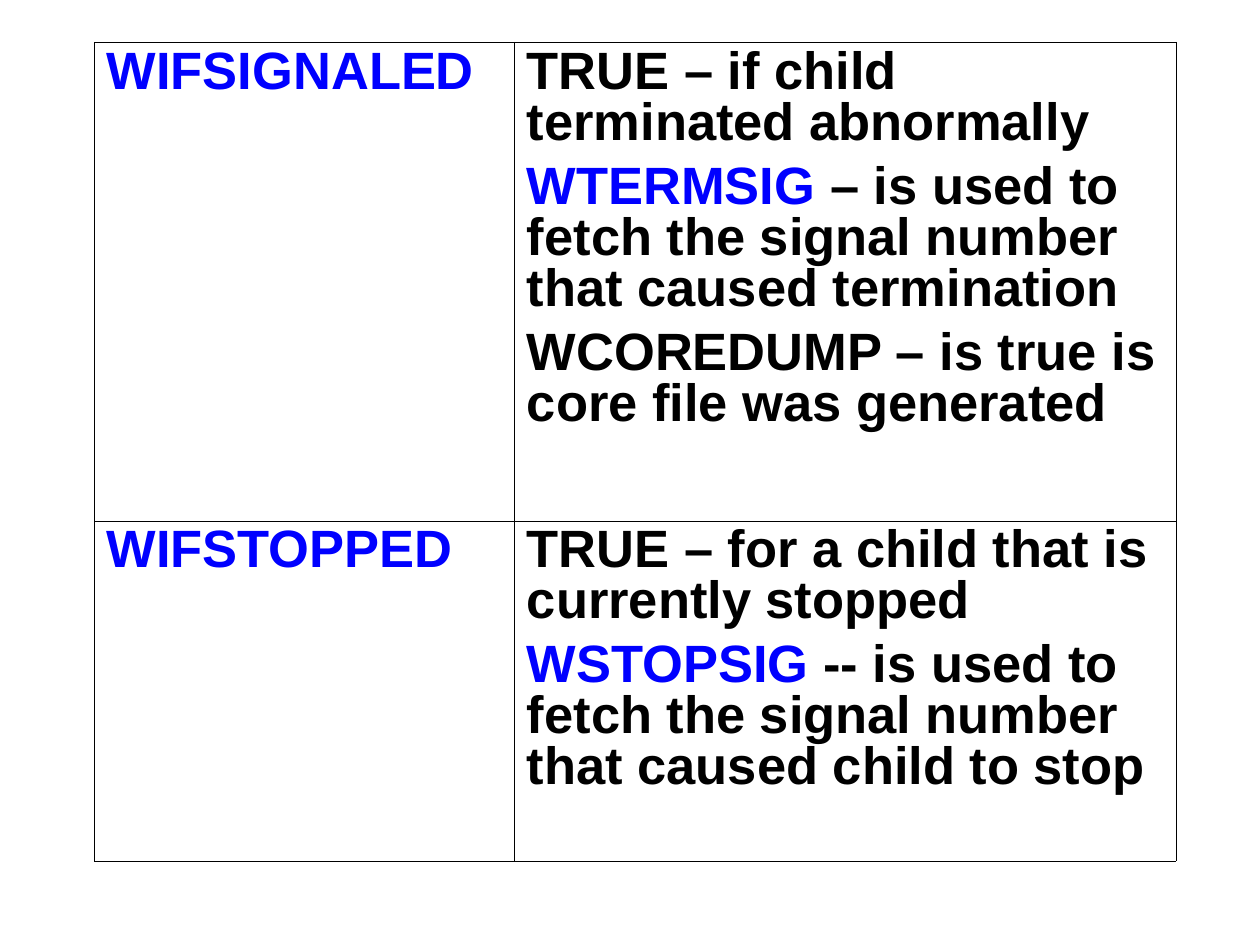
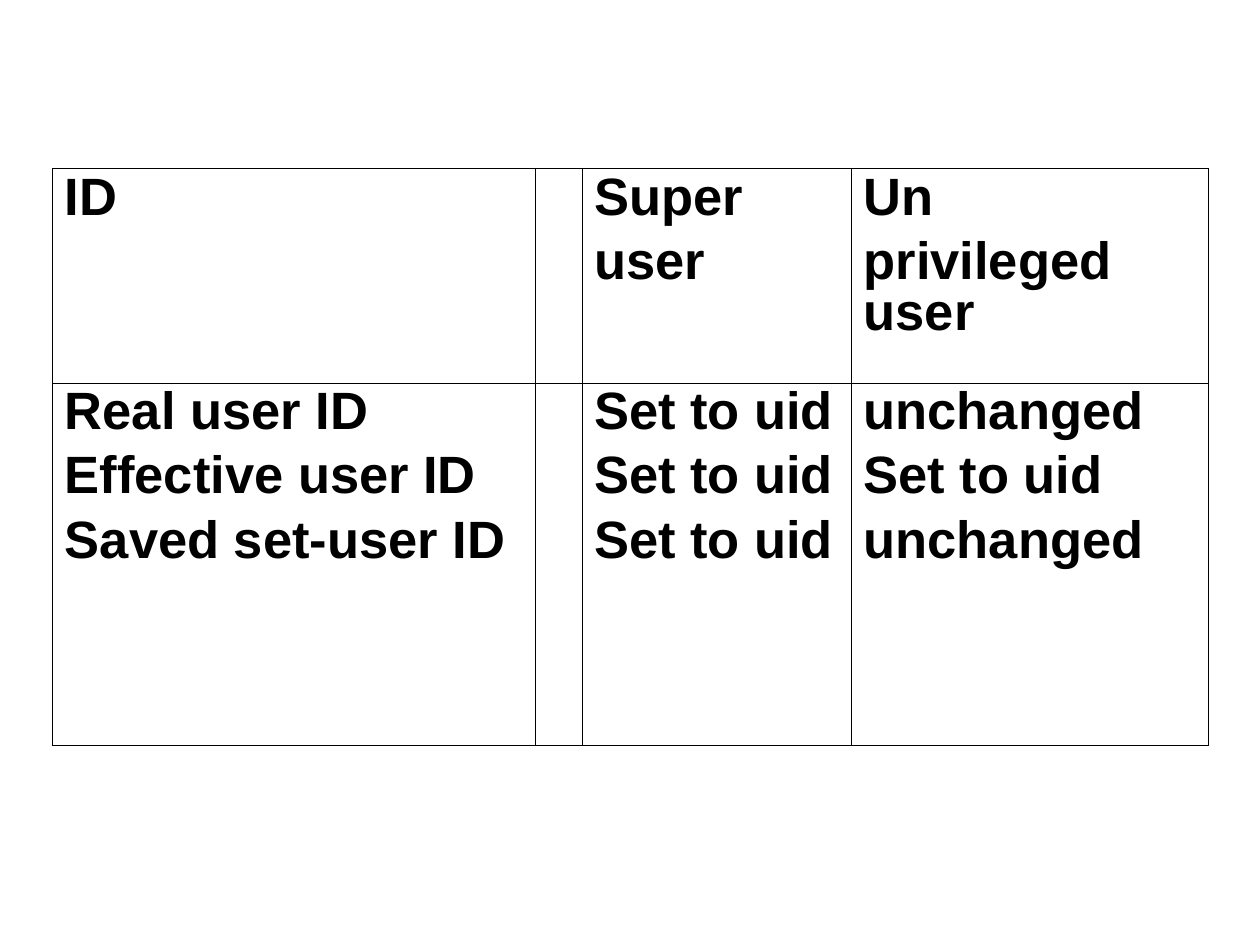
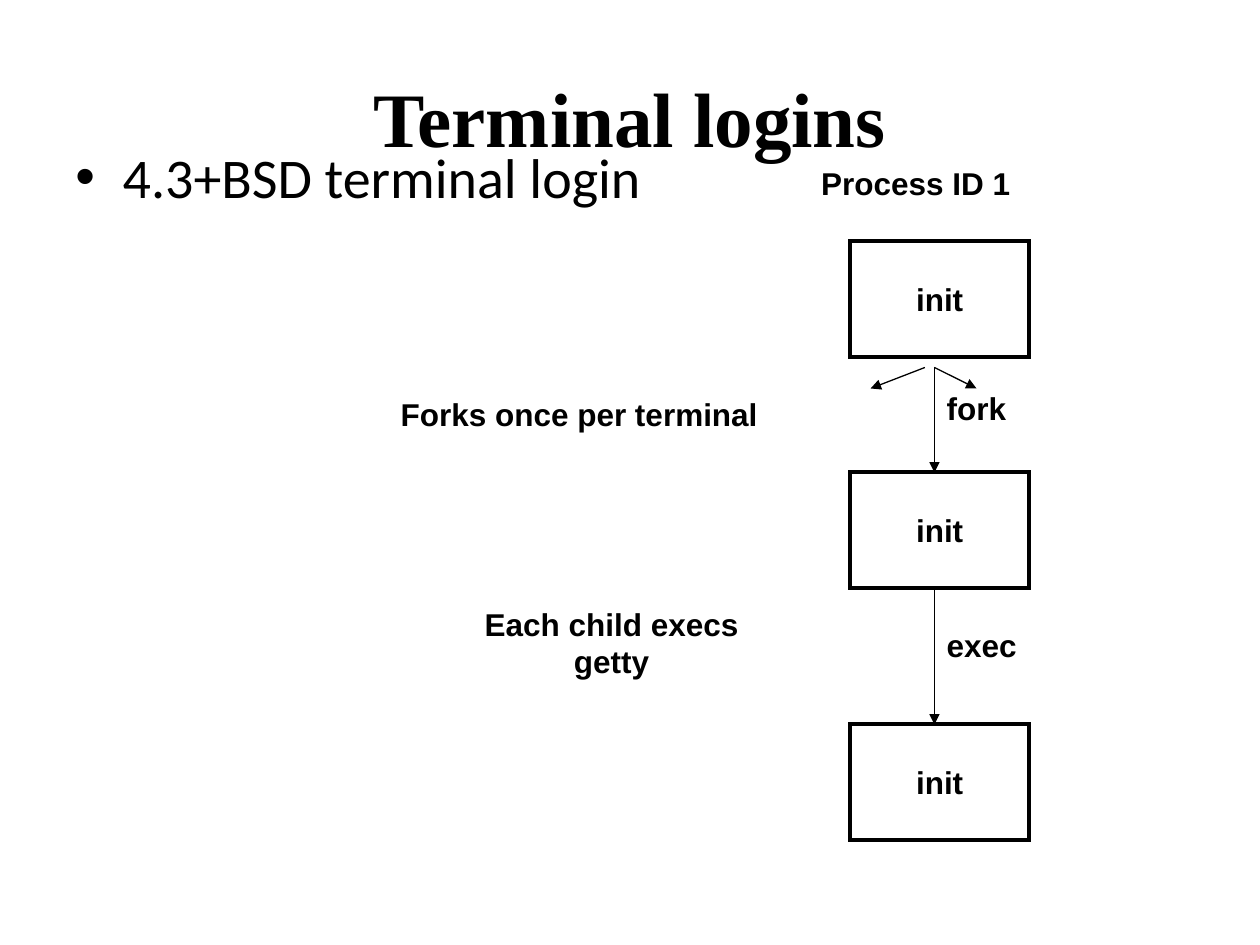
import typing

import lxml.etree
import pptx
import pptx.dml.color
import pptx.enum.shapes
import pptx.enum.text
import pptx.oxml.ns
import pptx.util

Pt = pptx.util.Pt
qn = pptx.oxml.ns.qn
Align = pptx.enum.text.PP_ALIGN
Anchor = pptx.enum.text.MSO_ANCHOR
Fit = pptx.enum.text.MSO_AUTO_SIZE

BLACK = pptx.dml.color.RGBColor(0x00, 0x00, 0x00)
WHITE = pptx.dml.color.RGBColor(0xFF, 0xFF, 0xFF)
BLUE = pptx.dml.color.RGBColor(0x00, 0x00, 0xFF)

OUTER, INNER = 0.23, 0.11  # table border widths
INSET = 7.09  # side margin of cells and lists


class Run(typing.NamedTuple):
    text: str
    color: pptx.dml.color.RGBColor = BLACK


Para = list[Run]


class Grid(typing.NamedTuple):
    left: float
    top: float
    cols: list[float]
    rows: list[float]
    cells: list[list[list[Para]]]


class Label(typing.NamedTuple):
    left: float
    top: float
    width: float
    height: float
    lines: list[str]


class Arrow(typing.NamedTuple):
    x1: float
    y1: float
    x2: float
    y2: float


def plain(*lines: str) -> list[Para]:
    return [[Run(line)] for line in lines]


# Slide content
STATUS = Grid(54, 24, [240, 378], [273.6, 194.4], [
    [
        [[Run("WIFSIGNALED", BLUE)]],
        [
            [Run("TRUE – if child terminated abnormally")],
            [Run("WTERMSIG", BLUE),
             Run(" – is used to fetch the signal number that caused termination")],
            [Run("WCOREDUMP – is true is core file was generated")],
        ],
    ],
    [
        [[Run("WIFSTOPPED", BLUE)]],
        [
            [Run("TRUE – for a child that is currently stopped")],
            [Run("WSTOPSIG ", BLUE),
             Run("-- is used to fetch the signal number that caused child to stop")],
        ],
    ],
])

USER_IDS = Grid(30, 96, [276, 26.5, 154, 204], [122.75, 207.25], [
    [plain("ID"), [], plain("Super", "user"), plain("Un", "privileged user")],
    [
        plain("Real user ID", "Effective user ID", "Saved set-user ID"),
        [],
        plain("Set to uid", "Set to uid", "Set to uid"),
        plain("unchanged", "Set to uid", "unchanged"),
    ],
])

BOX_W, BOX_H = 102, 66
BOXES = [Label(486, top, BOX_W, BOX_H, ["init"]) for top in (138, 270, 414)]

SPINE = 534
ARROWS = [
    Arrow(SPINE, 336, SPINE, 414),
    Arrow(SPINE, 210, SPINE, 270),
    Arrow(528.5, 210, 497.5, 222),
    Arrow(SPINE, 210, 558, 222),
]

LABELS = [
    Label(462, 90, 122.5, 29, ["Process ID 1"]),
    Label(221, 222, 220, 29, ["Forks once per terminal"]),
    Label(269, 342, 161, 50, ["Each child execs", "getty"]),
    Label(533, 219, 50, 29, ["fork"]),
    Label(533, 354, 56, 29, ["exec"]),
]


def write(frame, paras: list[Para], *, size: float = 18, font: str = "Arial",
          bold: bool = True, align=None, gap: float = 0, pitch=None) -> None:
    """Fill a text frame with formatted paragraphs."""
    for i, runs in enumerate(paras):
        para = frame.add_paragraph() if i else frame.paragraphs[0]
        para.alignment = align
        para.line_spacing = pitch
        para.space_before = Pt(gap if i else 0)
        for item in runs:
            run = para.add_run()
            run.text = item.text
            run.font.size = Pt(size)
            run.font.name = font
            run.font.bold = bold
            run.font.color.rgb = item.color


def edge(cell, side: str, width: float) -> None:
    """Draw one black border of a cell."""
    line = lxml.etree.SubElement(cell._tc.get_or_add_tcPr(), qn(f"a:ln{side}"),
                                 w=str(int(Pt(width))))
    fill = lxml.etree.SubElement(line, qn("a:solidFill"))
    lxml.etree.SubElement(fill, qn("a:srgbClr"), val=str(BLACK))


def add_grid(slide, grid: Grid) -> None:
    count, span = len(grid.rows), len(grid.cols)
    table = slide.shapes.add_table(
        count, span, Pt(grid.left), Pt(grid.top),
        Pt(sum(grid.cols)), Pt(sum(grid.rows))).table
    table.first_row = table.horz_banding = False
    for col, width in zip(table.columns, grid.cols):
        col.width = Pt(width)
    for row, height in zip(table.rows, grid.rows):
        row.height = Pt(height)
    for r, line in enumerate(grid.cells):
        for c, paras in enumerate(line):
            cell = table.cell(r, c)
            cell.margin_left = cell.margin_right = Pt(INSET)
            rims = {"L": c == 0, "R": c == span - 1,
                    "T": r == 0, "B": r == count - 1}
            for side, rim in rims.items():
                edge(cell, side, OUTER if rim else INNER)
            cell.fill.background()
            write(cell.text_frame, paras, size=30, gap=7.5, pitch=0.87)


def add_box(slide, box: Label) -> None:
    shape = slide.shapes.add_shape(
        pptx.enum.shapes.MSO_SHAPE.RECTANGLE, *map(Pt, box[:4]))
    shape.shadow.inherit = False
    shape.fill.solid()
    shape.fill.fore_color.rgb = WHITE
    shape.line.color.rgb = BLACK
    shape.line.width = Pt(2.25)
    outline = shape.element.spPr.find(qn("a:ln"))
    lxml.etree.SubElement(outline, qn("a:miter"), lim="800000")
    shape.text_frame.word_wrap = False
    shape.text_frame.vertical_anchor = Anchor.MIDDLE
    write(shape.text_frame, plain(*box.lines), align=Align.CENTER)


def add_label(slide, label: Label) -> None:
    frame = slide.shapes.add_textbox(*map(Pt, label[:4])).text_frame
    frame.word_wrap = False
    frame.auto_size = Fit.SHAPE_TO_FIT_TEXT
    write(frame, plain(*label.lines), align=Align.CENTER)


def add_arrow(slide, arrow: Arrow) -> None:
    link = slide.shapes.add_connector(
        pptx.enum.shapes.MSO_CONNECTOR.STRAIGHT, *map(Pt, arrow))
    link.line.color.rgb = BLACK
    link.line.width = Pt(0.75)
    props = link.element.spPr
    lxml.etree.SubElement(props.find(qn("a:ln")), qn("a:tailEnd"), type="triangle")
    lxml.etree.SubElement(props, qn("a:effectLst"))


def place(shape, left: float, top: float, width: float, height: float):
    """Move a placeholder and return its text frame."""
    shape.left, shape.top = Pt(left), Pt(top)
    shape.width, shape.height = Pt(width), Pt(height)
    frame = shape.text_frame
    frame.auto_size = Fit.NONE
    frame.margin_left = frame.margin_right = Pt(INSET)
    return frame


def add_logins(slide) -> None:
    title = place(slide.shapes.title, 36, 21.6, 648, 90)
    title.vertical_anchor = Anchor.MIDDLE
    write(title, plain("Terminal logins"), size=44, font="Times New Roman",
          align=Align.CENTER)
    body = place(slide.placeholders[1], 36, 78, 648, 405)
    write(body, plain("4.3+BSD terminal login"), size=32, font="Calibri", bold=False)
    for box in BOXES:
        add_box(slide, box)
    for arrow in ARROWS:
        add_arrow(slide, arrow)
    for label in LABELS:
        add_label(slide, label)


def main() -> None:
    deck = pptx.Presentation()
    deck.slide_width, deck.slide_height = Pt(720), Pt(540)
    content, blank = deck.slide_layouts[1], deck.slide_layouts[6]
    for grid in (STATUS, USER_IDS):
        add_grid(deck.slides.add_slide(blank), grid)
    add_logins(deck.slides.add_slide(content))
    deck.save("out.pptx")


if __name__ == "__main__":
    main()
